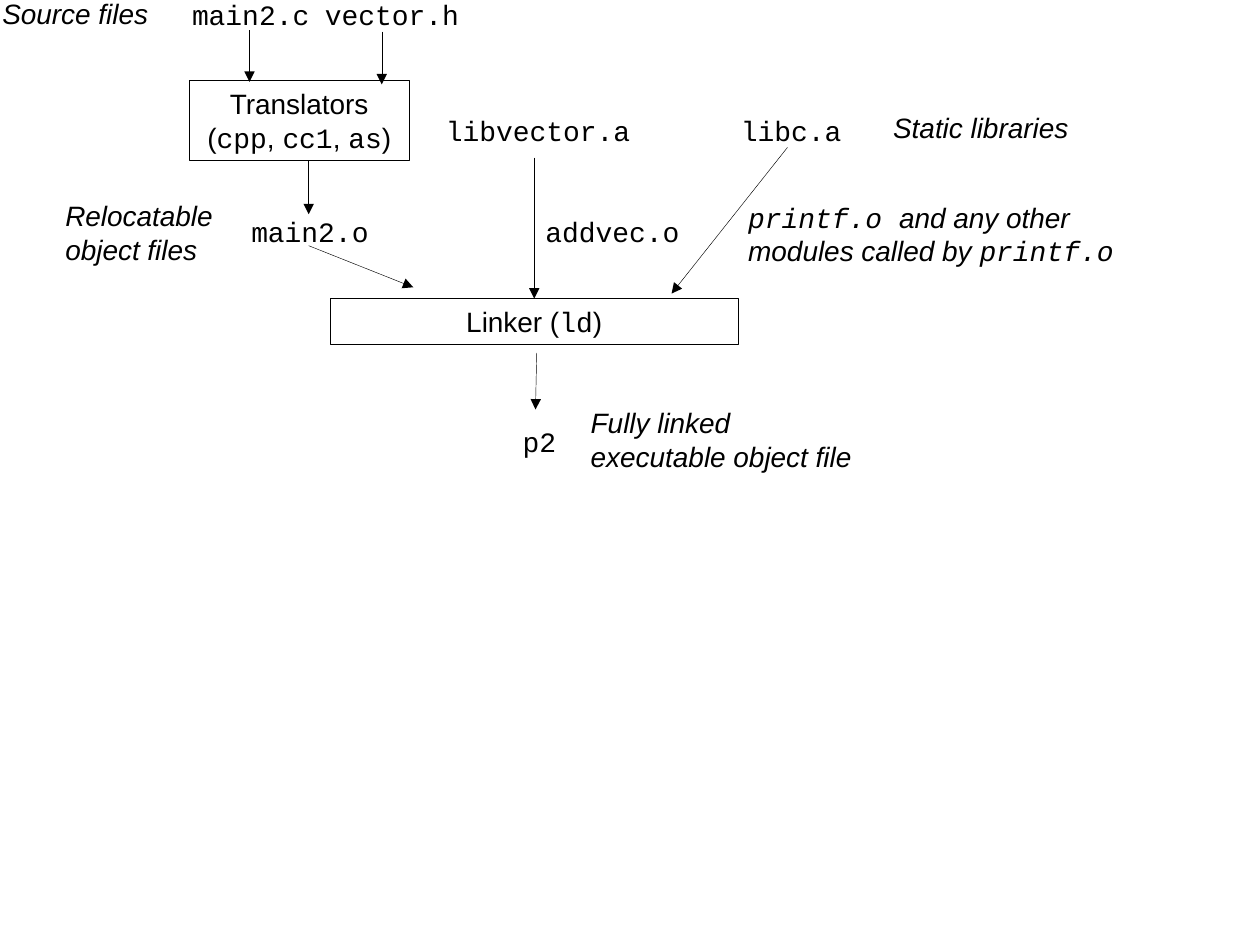
from pptx import Presentation
from pptx import util as u
from pptx.dml.color import RGBColor
from pptx.enum import shapes, text
from pptx.oxml.ns import qn
from lxml import etree

BLACK = RGBColor(0x00, 0x00, 0x00)
SANS, MONO = "Arial", "Courier New"
LINE_WIDTH = u.Pt(0.25)
LEFT, CENTER = text.PP_ALIGN.LEFT, text.PP_ALIGN.CENTER
CHAR_WIDTH = 9.6 / 72  # one code character at 16 pt, in inches
FILE_PADDING = 0.24    # both side insets and a little room

# Text between backticks is set in the code font; boxes are left, top, width, height
TRANSLATORS = (["Translators", "(`cpp`, `cc1`, `as`)"], (1.5, 0.64, 1.75, 0.63))
LINKER = (["Linker (`ld`)"], (2.62, 2.37, 3.24, 0.36))
# Name, centre, top
FILES = [
    ("main2.c", 1.99, -0.07),
    ("vector.h", 3.11, -0.07),
    ("libvector.a", 4.27, 0.85),
    ("libc.a", 6.28, 0.85),
    ("main2.o", 2.46, 1.65),
    ("addvec.o", 4.86, 1.65),
    ("p2", 4.28, 3.32),
]
NOTES = [
    (["Source files"], (-0.08, -0.08, 1.36, 0.37)),
    (["Static libraries"], (6.99, 0.83, 1.59, 0.37)),
    (["Relocatable", "object files"], (0.42, 1.53, 1.37, 0.64)),
    (["`printf.o `and any other", "modules called by `printf.o`"],
     (5.84, 1.54, 3.23, 0.64)),
    (["Fully linked", "executable object file"], (4.59, 3.17, 2.27, 0.64)),
]
ARROWS = [
    (1.98, 0.24, 1.98, 0.65),  # main2.c to translators
    (3.03, 0.25, 3.03, 0.67),  # vector.h to translators
    (2.45, 1.28, 2.45, 1.7),   # translators to main2.o
    (2.45, 1.95, 3.28, 2.28),  # main2.o to linker
    (6.25, 1.17, 5.33, 2.33),  # libc.a to linker
    (4.26, 2.8, 4.25, 3.25),   # linker to p2
]


def inches(values):
    return [u.Inches(v) for v in values]


def write_text(tf, lines, align, italic=False, wrap=False):
    """Fill a text frame, switching to the code font between backticks."""
    frame = {"word_wrap": wrap, "vertical_anchor": text.MSO_ANCHOR.TOP,
             "auto_size": text.MSO_AUTO_SIZE.SHAPE_TO_FIT_TEXT}
    for name, value in frame.items():
        setattr(tf, name, value)
    for i, line in enumerate(lines):
        p = tf.paragraphs[0] if i == 0 else tf.add_paragraph()
        p.alignment = align
        for j, part in enumerate(line.split("`")):
            if not part:
                continue
            r = p.add_run()
            r.text = part
            font = {"name": MONO if j % 2 else SANS,
                    "size": u.Pt(16), "italic": italic}
            for name, value in font.items():
                setattr(r.font, name, value)
            r.font.color.rgb = BLACK


def add_step(s, lines, box):
    sp = s.shapes.add_shape(shapes.MSO_SHAPE.RECTANGLE, *inches(box))
    sp.shadow.inherit = False
    sp.fill.background()
    sp.line.color.rgb = BLACK
    sp.line.width = LINE_WIDTH
    write_text(sp.text_frame, lines, CENTER, wrap=True)
    return sp


def add_label(s, lines, box, align, italic=False):
    sp = s.shapes.add_textbox(*inches(box))
    write_text(sp.text_frame, lines, align, italic)


def add_file(s, name, center, top):
    """Place a file name in a box wide enough for one line."""
    width = len(name) * CHAR_WIDTH + FILE_PADDING
    add_label(s, [f"`{name}`"], (center - width / 2, top, width, 0.37), CENTER)


def add_arrow(s, ends):
    cx = s.shapes.add_connector(shapes.MSO_CONNECTOR.STRAIGHT, *inches(ends))
    cx.line.color.rgb = BLACK
    cx.line.width = LINE_WIDTH
    etree.SubElement(cx.line._get_or_add_ln(), qn("a:tailEnd"), type="triangle")
    etree.SubElement(cx._element.spPr, qn("a:effectLst"))
    return cx


def main():
    prs = Presentation()
    prs.slide_width, prs.slide_height = inches((10, 7.5))
    s = prs.slides.add_slide(prs.slide_layouts[6])

    # Translators and linker
    add_step(s, *TRANSLATORS)
    linker = add_step(s, *LINKER)

    # File names and explanations
    for name, center, top in FILES:
        add_file(s, name, center, top)
    for lines, box in NOTES:
        add_label(s, lines, box, LEFT, italic=True)

    # Flow of files, with libvector.a joined to the top of the linker
    for ends in ARROWS:
        add_arrow(s, ends)
    add_arrow(s, (4.24, 1.25, 4.24, 2.37)).end_connect(linker, 0)

    prs.save("out.pptx")


if __name__ == "__main__":
    main()
